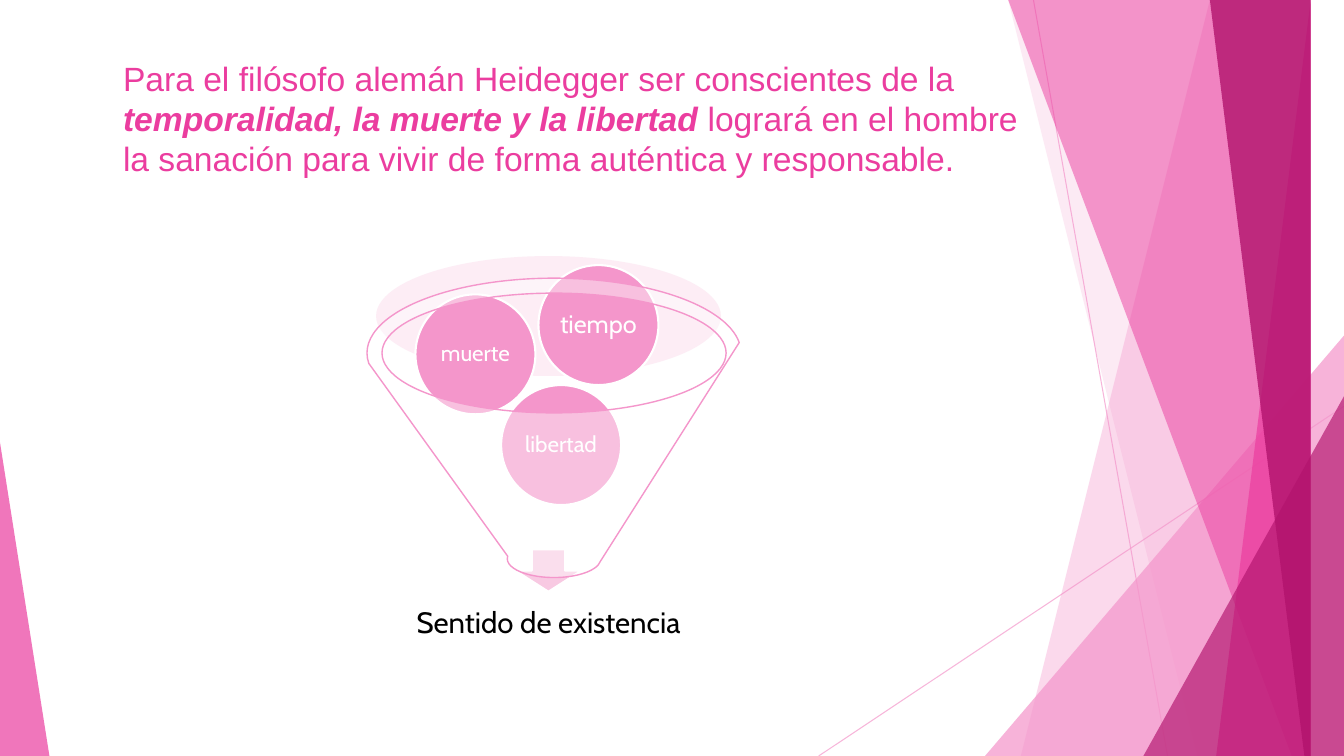
import pptx
import pptx.dml.color
import pptx.enum.shapes
import pptx.enum.text
import pptx.oxml
import pptx.oxml.ns
import pptx.util
from dataclasses import dataclass

Inches = pptx.util.Inches
Pt = pptx.util.Pt
PRESET = pptx.enum.shapes.MSO_SHAPE
ALIGN = pptx.enum.text.PP_ALIGN
ANCHOR = pptx.enum.text.MSO_ANCHOR


@dataclass(frozen=True)
class Theme:
    width: float = 13.33
    height: float = 7.5
    light: str = "F496CB"
    pink: str = "EB3D9F"
    dark: str = "B2136D"
    rim: str = "FAD3E7"
    arrow: str = "F8C9E2"
    white: str = "FFFFFF"
    black: str = "000000"
    title_font: str = "Arial"
    body_font: str = "Cabin"
    title_size: int = 24
    result_size: int = 21
    large_size: int = 18
    small_size: int = 16


THEME = Theme()


def rgb(color):
    return pptx.dml.color.RGBColor.from_string(color)


def set_opacity(element, percent):
    """Give the first solid colour under the element an opacity."""
    color = next(element.iter(pptx.oxml.ns.qn("a:srgbClr")))
    alpha = pptx.oxml.parse_xml(
        f'<a:alpha {pptx.oxml.ns.nsdecls("a")} val="{percent * 1000}"/>')
    color.append(alpha)


def paint(shape, fill, opacity=100, line=None, line_width=1.5):
    shape.shadow.inherit = False
    shape.fill.solid()
    shape.fill.fore_color.rgb = rgb(fill)
    if opacity < 100:
        set_opacity(shape._element.spPr, opacity)
    if line:
        shape.line.color.rgb = rgb(line)
        shape.line.width = Pt(line_width)
    else:
        shape.line.fill.background()


def add_preset(slide, preset, box, fill, opacity=100, line=None, line_width=1.5):
    shape = slide.shapes.add_shape(preset, *map(Inches, box))
    paint(shape, fill, opacity, line, line_width)
    return shape


def add_triangle(slide, box, apex, fill, opacity):
    triangle = add_preset(slide, PRESET.ISOSCELES_TRIANGLE, box, fill, opacity)
    triangle.adjustments[0] = apex


def add_facet(slide, top_x, bottom_x, fill, opacity):
    """Fill from a slanted left edge to the right edge of the slide."""
    top = -0.01
    builder = slide.shapes.build_freeform(top_x, top, scale=Inches(1))
    builder.add_line_segments([(THEME.width, top), (THEME.width, THEME.height),
                               (bottom_x, THEME.height)], close=True)
    paint(builder.convert_to_shape(), fill, opacity)


def add_ray(slide, start, end):
    ray = slide.shapes.add_connector(
        pptx.enum.shapes.MSO_CONNECTOR.STRAIGHT, *map(Inches, start + end))
    ray.line.color.rgb = rgb(THEME.light)
    ray.line.width = Pt(0.75)
    properties = ray._element.spPr
    set_opacity(properties, 70)
    properties.append(pptx.oxml.parse_xml(
        f'<a:effectLst {pptx.oxml.ns.nsdecls("a")}/>'))


def write_label(shape, text, size, color, inset):
    frame = shape.text_frame
    frame.word_wrap = True
    frame.vertical_anchor = ANCHOR.MIDDLE
    frame.margin_left = frame.margin_right = Inches(inset)
    frame.margin_top = frame.margin_bottom = Inches(inset)
    paragraph = frame.paragraphs[0]
    paragraph.text = text
    paragraph.alignment = ALIGN.CENTER
    paragraph.line_spacing = 0.9
    paragraph.font.name = THEME.body_font
    paragraph.font.size = Pt(size)
    paragraph.font.color.rgb = rgb(color)


def add_ball(slide, left, top, text, size):
    diameter = 1.19
    ball = add_preset(slide, PRESET.OVAL, (left, top, diameter, diameter),
                      THEME.light, line=THEME.white)
    write_label(ball, text, size, THEME.white, 0.02)


def add_background(slide):
    add_ray(slide, (10.25, 0), (11.58, THEME.height))
    add_ray(slide, (THEME.width, 4.03), (8.12, THEME.height))
    add_facet(slide, 12.28, 10.04, THEME.light, 36)
    add_facet(slide, 10.5, 11.83, THEME.light, 20)
    add_triangle(slide, (9.77, 3.33, 3.56, 4.17), 1, THEME.light, 72)
    add_facet(slide, 10.21, 12.91, THEME.pink, 50)
    add_facet(slide, 13.03, 11.92, THEME.pink, 70)
    add_facet(slide, 11.96, 13.18, THEME.dark, 80)
    add_triangle(slide, (11.34, 3.93, 1.99, 3.57), 1, THEME.dark, 66)
    add_triangle(slide, (0, 4.39, 0.49, 3.11), 0, THEME.pink, 70)


def fill_title(slide):
    title = slide.shapes.title
    title.left, title.top = Inches(1.12), Inches(0.52)
    title.width, title.height = Inches(9.4), Inches(1.7)
    frame = title.text_frame
    frame.word_wrap = True
    frame.auto_size = pptx.enum.text.MSO_AUTO_SIZE.NONE
    frame.vertical_anchor = ANCHOR.TOP
    paragraph = frame.paragraphs[0]
    paragraph.alignment = ALIGN.LEFT
    for text, emphasis in (
            ("Para el filósofo alemán Heidegger ser conscientes de la ", False),
            ("temporalidad, la muerte y la libertad ", True),
            ("logrará en el hombre la sanación para vivir de forma "
             "auténtica y responsable.", False)):
        run = paragraph.add_run()
        run.text = text
        run.font.bold = run.font.italic = emphasis
    paragraph.font.name = THEME.title_font
    paragraph.font.size = Pt(THEME.title_size)
    paragraph.font.color.rgb = rgb(THEME.pink)


def add_funnel_diagram(slide):
    add_preset(slide, PRESET.OVAL, (3.73, 2.54, 3.42, 1.19), THEME.rim, 40)
    add_preset(slide, PRESET.DOWN_ARROW, (5.11, 5.45, 0.66, 0.42),
               THEME.arrow, line=THEME.white)
    result = slide.shapes.add_textbox(*map(Inches, (3.85, 5.79, 3.18, 0.8)))
    write_label(result, "Sentido de existencia", THEME.result_size,
                THEME.black, 0.16)
    add_ball(slide, 4.97, 3.82, "libertad", THEME.small_size)
    add_ball(slide, 4.12, 2.92, "muerte", THEME.small_size)
    add_ball(slide, 5.34, 2.63, "tiempo", THEME.large_size)
    # The translucent funnel lies over the balls
    add_preset(slide, PRESET.FUNNEL, (3.64, 2.76, 3.71, 2.97), THEME.white, 40,
               line=THEME.light, line_width=1)


def main():
    presentation = pptx.Presentation()
    presentation.slide_width = Inches(THEME.width)
    presentation.slide_height = Inches(THEME.height)
    slide = presentation.slides.add_slide(presentation.slide_layouts[5])
    add_background(slide)
    fill_title(slide)
    add_funnel_diagram(slide)
    presentation.save("out.pptx")


if __name__ == "__main__":
    main()
